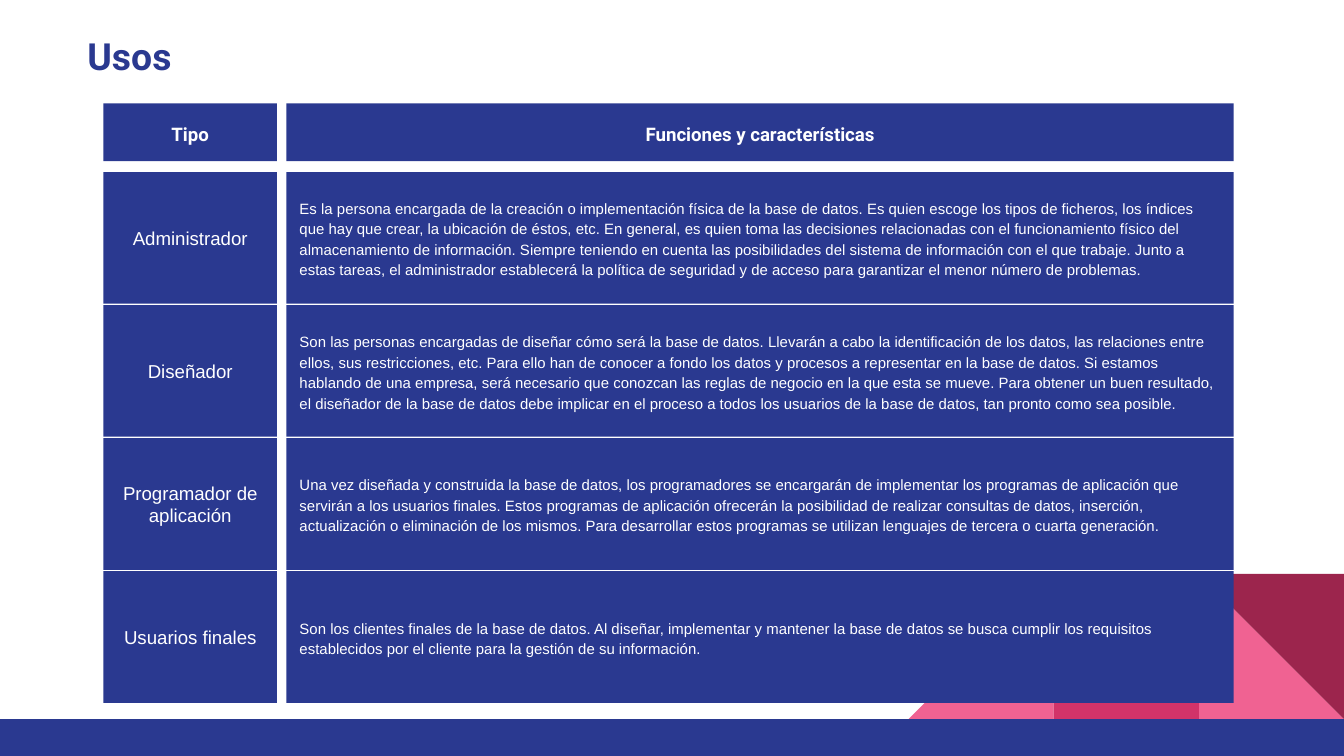
from dataclasses import dataclass

from pptx import Presentation
from pptx.dml.color import RGBColor
from pptx.enum import shapes, text
from pptx.util import Inches, Pt


@dataclass(frozen=True)
class Theme:
    """Colours, fonts and type sizes of the slide."""
    navy: str = "2A3990"
    white: str = "FFFFFF"
    pink: str = "F06292"
    rose: str = "D23369"
    wine: str = "9C254D"
    head_font: str = "Roboto"
    body_font: str = "Arial"
    title_size: int = 20
    label_size: int = 10
    body_size: int = 8


THEME = Theme()
CENTER, LEFT = text.PP_ALIGN.CENTER, text.PP_ALIGN.LEFT
RECT, TRIANGLE = shapes.MSO_SHAPE.RECTANGLE, shapes.MSO_SHAPE.RIGHT_TRIANGLE

HEAD = dict(size=THEME.label_size, name=THEME.head_font, bold=True)
LABEL = dict(size=THEME.label_size, name=THEME.body_font, bold=False)
BODY = dict(size=THEME.body_size, name=THEME.body_font, bold=False)

HEADERS = ("Tipo", "Funciones y características")
ROWS = (
    ("Administrador",
     "Es la persona encargada de la creación o implementación física de la base de datos. "
     "Es quien escoge los tipos de ficheros, los índices que hay que crear, la ubicación de "
     "éstos, etc. En general, es quien toma las decisiones relacionadas con el funcionamiento "
     "físico del almacenamiento de información. Siempre teniendo en cuenta las posibilidades "
     "del sistema de información con el que trabaje. Junto a estas tareas, el administrador "
     "establecerá la política de seguridad y de acceso para garantizar el menor número de "
     "problemas."),
    ("Diseñador",
     "Son las personas encargadas de diseñar cómo será la base de datos. Llevarán a cabo la "
     "identificación de los datos, las relaciones entre ellos, sus restricciones, etc. Para "
     "ello han de conocer a fondo los datos y procesos a representar en la base de datos. Si "
     "estamos hablando de una empresa, será necesario que conozcan las reglas de negocio en la "
     "que esta se mueve. Para obtener un buen resultado, el diseñador de la base de datos debe "
     "implicar en el proceso a todos los usuarios de la base de datos, tan pronto como sea "
     "posible."),
    ("Programador de aplicación",
     "Una vez diseñada y construida la base de datos, los programadores se encargarán de "
     "implementar los programas de aplicación que servirán a los usuarios finales. Estos "
     "programas de aplicación ofrecerán la posibilidad de realizar consultas de datos, "
     "inserción, actualización o eliminación de los mismos. Para desarrollar estos programas "
     "se utilizan lenguajes de tercera o cuarta generación."),
    ("Usuarios finales",
     "Son los clientes finales de la base de datos. Al diseñar, implementar y mantener la base "
     "de datos se busca cumplir los requisitos establecidos por el cliente para la gestión de "
     "su información."),
)


def add_block(parent, kind, box, color, rotation=0):
    """Add a plain filled shape without outline or shadow."""
    sp = parent.shapes.add_shape(kind, *map(Inches, box))
    sp.shadow.inherit = False
    sp.fill.solid()
    sp.fill.fore_color.rgb = RGBColor.from_string(color)
    sp.line.fill.background()
    sp.rotation = rotation
    return sp


def write(sp, content, font, color, align, spacing, anchor):
    """Write one formatted paragraph into a shape."""
    tf = sp.text_frame
    frame = dict(word_wrap=True, vertical_anchor=anchor, auto_size=text.MSO_AUTO_SIZE.NONE)
    frame.update({f"margin_{side}": Inches(0.1) for side in ("left", "top", "right", "bottom")})
    for key, value in frame.items():
        setattr(tf, key, value)
    p = tf.paragraphs[0]
    for key, value in dict(alignment=align, line_spacing=spacing,
                           space_before=Pt(0), space_after=Pt(0)).items():
        setattr(p, key, value)
    r = p.add_run()
    r.text = content
    for key, value in {**font, "size": Pt(font["size"])}.items():
        setattr(r.font, key, value)
    r.font.color.rgb = RGBColor.from_string(color)


def add_decoration(s, box):
    """Draw the corner triangles standing on the full-width footer band."""
    x, y, w, h = box
    side, band = 1.08, 0.28
    top = y + h - band - side
    last, middle, first = (x + w - n * side for n in (1, 2, 3))
    g = s.shapes.add_group_shape()
    for kind, left, color, rotation in (
        (TRIANGLE, last, THEME.pink, 0),
        (TRIANGLE, first, THEME.pink, 270),
        (RECT, middle, THEME.rose, 0),
        (TRIANGLE, last, THEME.wine, 180),
    ):
        add_block(g, kind, (left, top, side, side), color, rotation)
    add_block(g, RECT, (x, y + h - band, w, band), THEME.navy)


def add_title(s, box):
    """Move and format the title placeholder."""
    sp = s.shapes.title
    sp.left, sp.top, sp.width, sp.height = map(Inches, box)
    font = dict(size=THEME.title_size, name=THEME.head_font, bold=True)
    write(sp, "Usos", font, THEME.navy, LEFT, 0.95, text.MSO_ANCHOR.TOP)


def add_row(parent, box, contents, formats):
    """Draw a label block and a description block side by side."""
    x, y, w, h = box
    label_w, gap = 1.29, 0.07
    offset = label_w + gap
    columns = ((x, label_w), (x + offset, w - offset))
    for (left, width), content, (font, align, spacing) in zip(columns, contents, formats):
        sp = add_block(parent, RECT, (left, y, width, h), THEME.navy)
        write(sp, content, font, THEME.white, align, spacing, text.MSO_ANCHOR.MIDDLE)


def add_uses(s, box):
    """Stack the header row and the equally spaced user rows."""
    x, y, w, h = box
    head_h, head_gap, gap = 0.43, 0.08, 0.01
    top = y + head_h + head_gap
    pitch = (y + h - top + gap) / len(ROWS)
    add_row(s, (x, y, w, head_h), HEADERS, [(HEAD, CENTER, 1.15)] * 2)
    for i, row in enumerate(ROWS):
        add_row(s.shapes.add_group_shape(), (x, top + i * pitch, w, pitch - gap), row,
                ((LABEL, CENTER, 1.0), (BODY, LEFT, 1.15)))


def main():
    """Build and save the slide."""
    prs = Presentation()
    prs.slide_width, prs.slide_height = Inches(10), Inches(10) * 9 // 16
    s = prs.slides.add_slide(prs.slide_layouts[5])
    s.background.fill.solid()
    s.background.fill.fore_color.rgb = RGBColor.from_string(THEME.white)
    add_decoration(s, (0, 0, 10, 5.63))
    add_title(s, (0.55, 0.17, 1.38, 0.5))
    add_uses(s, (0.77, 0.77, 8.41, 4.46))
    prs.save("out.pptx")


if __name__ == "__main__":
    main()
